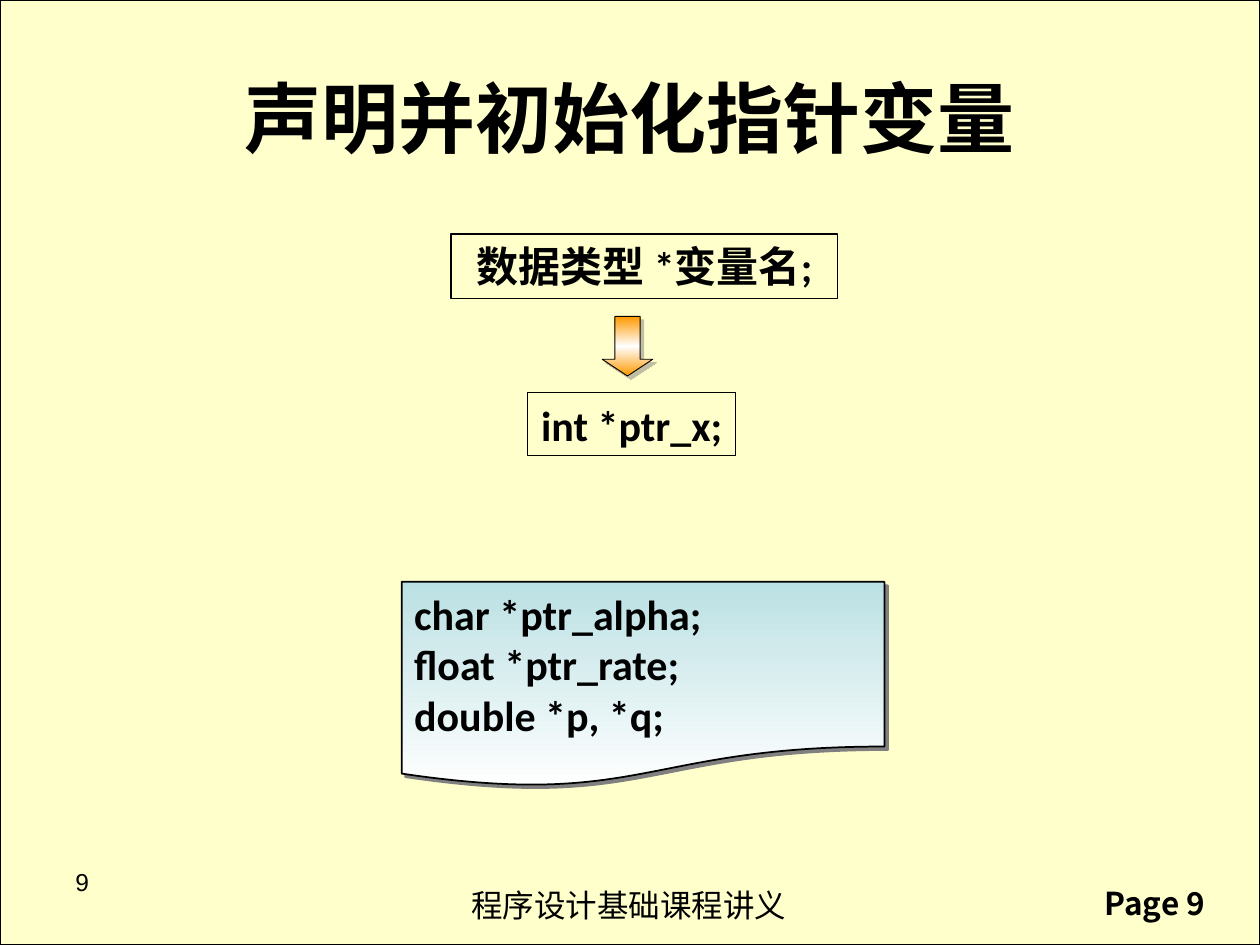
from lxml.etree import SubElement
from pptx import Presentation
from pptx.dml.color import RGBColor
from pptx.enum.shapes import MSO_SHAPE as Shape
from pptx.enum.text import MSO_ANCHOR as Anchor, PP_ALIGN as Align
from pptx.oxml.ns import qn
from pptx.util import Cm, Pt

BLACK = RGBColor(0, 0, 0)
CREAM = RGBColor(0xFF, 0xFF, 0xCC)
ORANGE = RGBColor(0xFF, 0x99, 0x00)
WHITE = RGBColor(0xFF, 0xFF, 0xFF)
TEAL = RGBColor(0xBB, 0xE0, 0xE3)
GREY = RGBColor(0x80, 0x80, 0x80)
CJK_FONT = "Noto Sans CJK SC"
WIDTH, HEIGHT = 25.4, 19.05

TITLE = "声明并初始化指针变量"
SYNTAX = ["数据类型 *变量名;"]
EXAMPLE = ["int *ptr_x;"]
DECLARATIONS = ["char *ptr_alpha;", "float *ptr_rate;", "double *p, *q;"]
FOOTERS = [
    ("程序设计基础课程讲义", (9.25, 17.73, 6.93, 1.02), 18, "Arial", False),
    ("Page 9", (22.02, 17.7, 3.25, 1.02), 18, CJK_FONT, True),
    ("9", (1.27, 17.35, 5.92, 1.32), 14, "Arial", False),
]


def write(shape, lines, size, font="Calibri", bold=True, align=Align.LEFT,
          anchor=Anchor.TOP, wrap=True):
    frame = shape.text_frame
    frame.word_wrap = wrap
    frame.vertical_anchor = anchor
    for index, line in enumerate(lines):
        paragraph = frame.add_paragraph() if index else frame.paragraphs[0]
        paragraph.alignment = align
        run = paragraph.add_run()
        run.text = line
        run.font.size = Pt(size)
        run.font.name = font
        run.font.bold = bold
        run.font.color.rgb = BLACK
        SubElement(run.font._element, qn("a:ea"), typeface=CJK_FONT)


def add_block(slide, kind, box, line_width, fill=CREAM):
    shape = slide.shapes.add_shape(kind, *map(Cm, box))
    shape.shadow.inherit = False
    shape.fill.solid()
    shape.fill.fore_color.rgb = fill
    shape.line.color.rgb = BLACK
    shape.line.width = Pt(line_width)
    return shape


def shade(shape, colors):
    shape.fill.gradient()
    shape.fill.gradient_angle = 270
    stops = shape._element.spPr.find(qn("a:gradFill")).find(qn("a:gsLst"))
    for stop in list(stops):
        stops.remove(stop)
    for index, color in enumerate(colors):
        position = 100000 * index // (len(colors) - 1)
        stop = SubElement(stops, qn("a:gs"), pos=str(position))
        SubElement(stop, qn("a:srgbClr"), val=str(color))


def cast_shadow(shape, opacity):
    effects = shape._element.spPr.find(qn("a:effectLst"))
    shadow = SubElement(effects, qn("a:outerShdw"), blurRad="0",
                        dist=str(Pt(2.8)), dir="2700000", algn="ctr", rotWithShape="0")
    color = SubElement(shadow, qn("a:srgbClr"), val=str(GREY))
    SubElement(color, qn("a:alpha"), val=str(opacity * 1000))


def main():
    presentation = Presentation()
    presentation.slide_width, presentation.slide_height = Cm(WIDTH), Cm(HEIGHT)
    slide = presentation.slides.add_slide(presentation.slide_layouts[5])

    background = add_block(slide, Shape.RECTANGLE, (0, 0, WIDTH, HEIGHT), 0.75)
    slide.shapes._spTree.insert(2, background._element)

    for text, box, size, font, bold in FOOTERS:
        footer = slide.shapes.add_textbox(*map(Cm, box))
        write(footer, [text], size, font, bold)

    title = slide.shapes.title
    title.left, title.top, title.width, title.height = map(Cm, (1.27, 0.76, 22.86, 3.18))
    write(title, [TITLE], 44, align=Align.CENTER, anchor=Anchor.MIDDLE)

    syntax = add_block(slide, Shape.RECTANGLE, (9.09, 4.72, 7.8, 1.3), 0.75)
    write(syntax, SYNTAX, 24, align=Align.CENTER)

    arrow = add_block(slide, Shape.DOWN_ARROW, (12.14, 6.38, 1.02, 1.2), 0.5)
    arrow.adjustments[0], arrow.adjustments[1] = 0.5, 0.33
    shade(arrow, [ORANGE, WHITE, ORANGE])
    cast_shadow(arrow, 50)

    example = add_block(slide, Shape.RECTANGLE, (10.64, 7.92, 4.19, 1.27), 0.75)
    write(example, EXAMPLE, 24, align=Align.CENTER, wrap=False)

    declarations = add_block(slide, Shape.FLOWCHART_DOCUMENT, (8.1, 11.73, 9.73, 4.14), 1)
    shade(declarations, [TEAL, WHITE])
    cast_shadow(declarations, 100)
    write(declarations, DECLARATIONS, 24, anchor=Anchor.MIDDLE)

    presentation.save("out.pptx")


if __name__ == "__main__":
    main()
